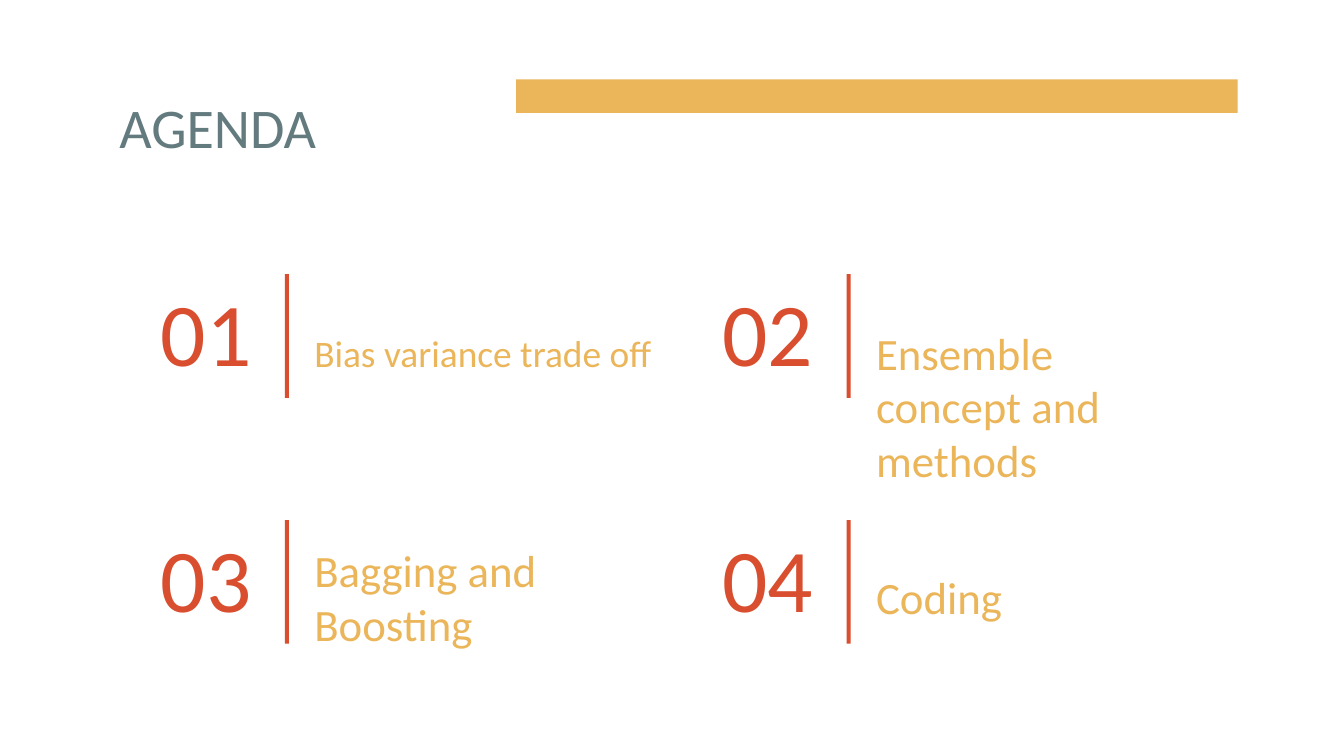
from pptx import Presentation
from pptx.dml.color import RGBColor
from pptx.enum.shapes import MSO_SHAPE
from pptx.enum.text import MSO_ANCHOR, PP_ALIGN
from pptx.util import Inches, Pt

GOLD, RED, SLATE = "EBB55A", "D84E2E", "637B7F"


def paint(color, value):
    color.rgb = RGBColor.from_string(value)


def add_bar(slide, left, top, width, height, fill):
    bar = slide.shapes.add_shape(
        MSO_SHAPE.RECTANGLE, Inches(left), Inches(top), Inches(width), Inches(height))
    bar.shadow.inherit = False
    bar.fill.solid()
    paint(bar.fill.fore_color, fill)
    bar.line.fill.background()


def add_text(slide, left, top, width, height, text, size, color,
             align=PP_ALIGN.LEFT, anchor=MSO_ANCHOR.TOP, right=0.1):
    box = slide.shapes.add_textbox(
        Inches(left), Inches(top), Inches(width), Inches(height))
    frame = box.text_frame
    frame.word_wrap = True
    frame.vertical_anchor = anchor
    frame.margin_left = frame.margin_top = frame.margin_bottom = Inches(0.1)
    frame.margin_right = Inches(right)
    frame.text = text
    para = frame.paragraphs[0]
    para.alignment = align
    font = para.runs[0].font
    font.name = "Calibri"
    font.size = Pt(size)
    paint(font.color, color)


def add_header(slide, left, top):
    add_bar(slide, left + 3.05, top, 5.37, 0.25, GOLD)
    add_text(slide, left, top, 3.27, 0.63, "AGENDA", 30, SLATE)


def add_item(slide, left, top, number, label, size, drop, width, right):
    """Number, divider and label; drop is the label's offset from the top."""
    height = 0.92
    add_text(slide, left, top, 1.01, height, number, 48, RED,
             PP_ALIGN.RIGHT, MSO_ANCHOR.BOTTOM)
    add_text(slide, left + 1.28, top + drop, width, 0.37, label, size, GOLD,
             right=right)
    add_bar(slide, left + 1.16, top, 0.03, height, RED)


def main():
    deck = Presentation()
    deck.slide_width = Inches(10)
    deck.slide_height = deck.slide_width * 9 // 16
    slide = deck.slides.add_slide(deck.slide_layouts[6])
    add_header(slide, 0.79, 0.59)

    # Agenda items in a two by two grid: label, size, drop, width, right inset
    items = [
        ("Bias variance trade off", 20, 0.32, 2.76, 0.1),
        ("Ensemble concept and methods", 24, 0.28, 2.76, 0.5),
        ("Bagging and Boosting", 24, 0.07, 3.08, 0.1),
        ("Coding", 24, 0.27, 2.76, 0.1),
    ]
    for index, (label, size, drop, width, right) in enumerate(items):
        row, col = divmod(index, 2)
        add_item(slide, 0.96 + col * 4.18, 2.04 + row * 1.83,
                 f"{index + 1:02d}", label, size, drop, width, right)

    deck.save("out.pptx")


if __name__ == "__main__":
    main()
